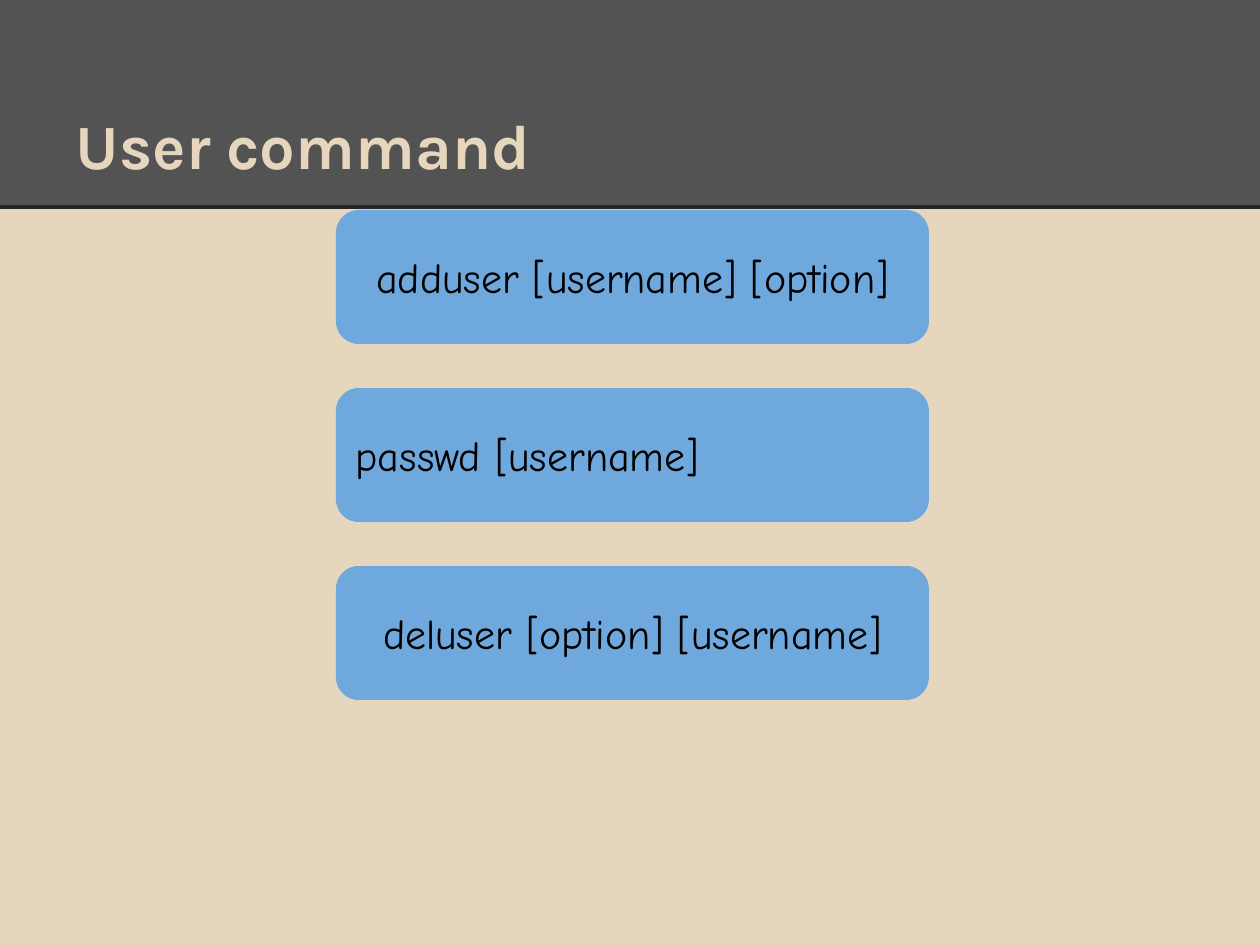
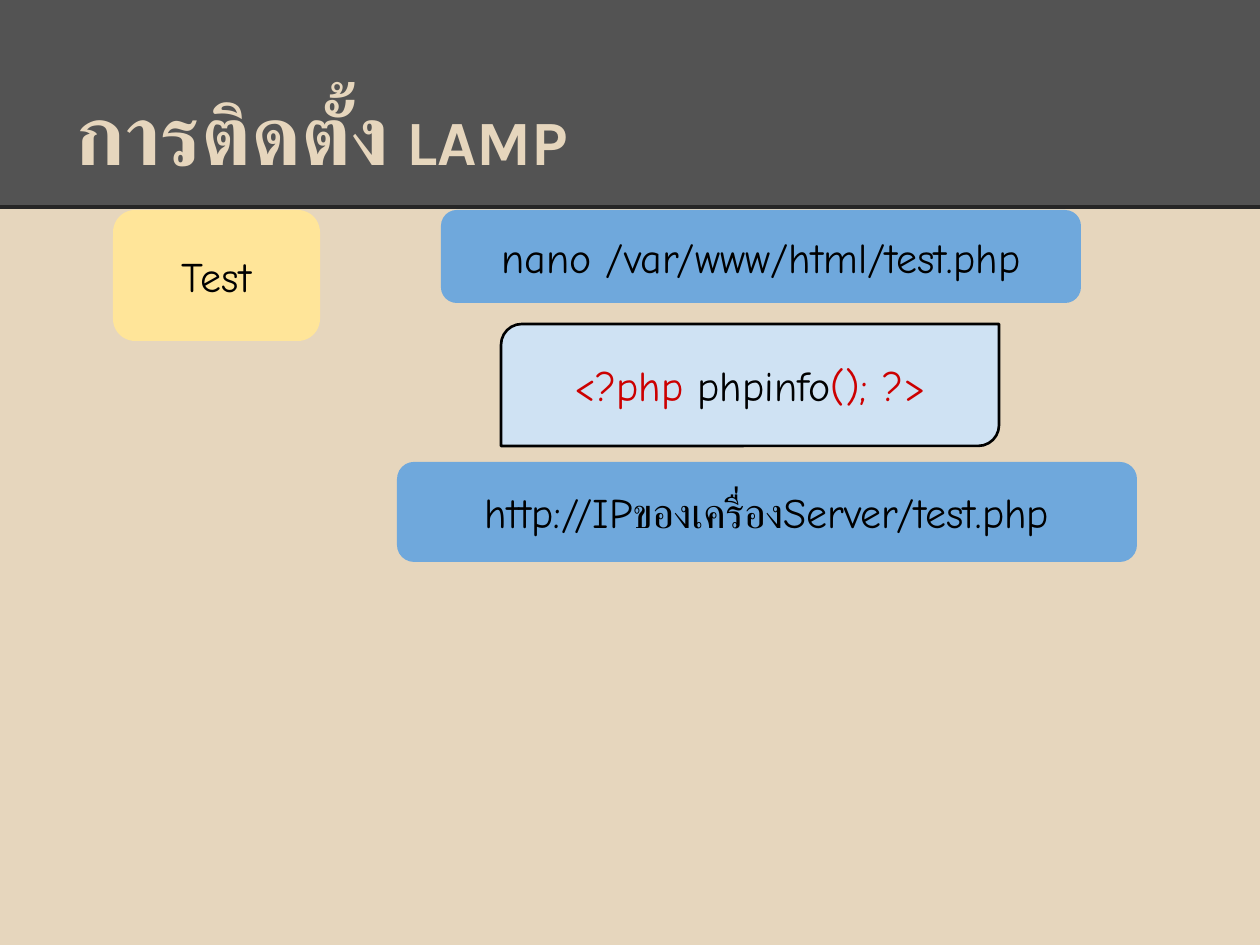
import pptx
import pptx.util
import pptx.dml.color
import pptx.enum.shapes
import pptx.enum.text
import lxml.etree
import pptx.oxml.ns

EMU_PER_PX = 914400 / 126
PAGE_WIDTH, PAGE_HEIGHT = 1260, 945
BAND_HEIGHT = 207
FIRST_ROW_TOP = 210
INSET = 13
TITLE_FONT, THAI_FONT, BODY_FONT = "Karla", "Roboto", "Comic Neue"
COLOURS = {
    "sand": "E6D6BD",
    "band": "535353",
    "rule": "262626",
    "blue": "6FA8DC",
    "pale blue": "CFE2F3",
    "yellow": "FFE599",
    "red": "CC0000",
    "black": "000000",
}
SHAPES = pptx.enum.shapes.MSO_SHAPE
ALIGN = pptx.enum.text.PP_ALIGN
ANCHOR = pptx.enum.text.MSO_ANCHOR


def px(length):
    return pptx.util.Emu(round(length * EMU_PER_PX))


def colour(name):
    return pptx.dml.color.RGBColor.from_string(COLOURS[name])


def paint(fill, name):
    fill.solid()
    fill.fore_color.rgb = colour(name)


def set_frame(frame, anchor):
    frame.word_wrap = True
    frame.vertical_anchor = anchor
    frame.margin_left = frame.margin_right = px(INSET)
    frame.margin_top = frame.margin_bottom = px(INSET)


def add_span(para, text, font, size, ink, bold=False):
    span = para.add_run()
    span.text = text
    span.font.name = font
    span.font.size = pptx.util.Pt(size)
    span.font.bold = bold
    span.font.color.rgb = colour(ink)


def add_shape(page, kind, place, fill, outline=None):
    shape = page.shapes.add_shape(kind, *map(px, place))
    shape.shadow.inherit = False
    paint(shape.fill, fill)
    if outline:
        shape.line.color.rgb = colour(outline)
        shape.line.width = pptx.util.Pt(1.5)
    else:
        shape.line.fill.background()
    return shape


def add_box(page, place, spans, fill="blue", align=ALIGN.CENTER,
            kind=SHAPES.ROUNDED_RECTANGLE, outline=None):
    """Rounded box holding one line of (text, colour) spans."""
    box = add_shape(page, kind, place, fill, outline)
    box.adjustments[0] = 0.17
    set_frame(box.text_frame, ANCHOR.MIDDLE)
    para = box.text_frame.paragraphs[0]
    para.alignment = align
    for text, ink in spans:
        add_span(para, text, BODY_FONT, 24, ink)


def add_page(deck, title_spans):
    """Page with the shared background, band, rule and title."""
    page = deck.slides.add_slide(deck.slide_layouts[6])
    paint(page.background.fill, "sand")
    add_shape(page, SHAPES.RECTANGLE, (0, 0, PAGE_WIDTH, BAND_HEIGHT), "band")

    rule = page.shapes.add_connector(
        pptx.enum.shapes.MSO_CONNECTOR.STRAIGHT,
        px(0), px(BAND_HEIGHT), px(PAGE_WIDTH), px(BAND_HEIGHT))
    rule.line.color.rgb = colour("rule")
    rule.line.width = pptx.util.Pt(2.25)
    lxml.etree.SubElement(rule._element.spPr, pptx.oxml.ns.qn("a:effectLst"))

    title = page.shapes.add_textbox(*map(px, (63, 38, 1134, 157)))
    set_frame(title.text_frame, ANCHOR.BOTTOM)
    for text, font, size in title_spans:
        add_span(title.text_frame.paragraphs[0], text, font, size, "sand", bold=True)
    return page


def build_user_commands(deck):
    page = add_page(deck, [("User command", TITLE_FONT, 36)])
    height, gap = 134, 44
    commands = [
        ("adduser [username] [option]", ALIGN.CENTER),
        ("passwd [username]", ALIGN.LEFT),
        ("deluser [option] [username]", ALIGN.CENTER),
    ]
    for row, (command, align) in enumerate(commands):
        top = FIRST_ROW_TOP + row * (height + gap)
        add_box(page, (336, top, 593, height), [(command, "black")], align=align)


def build_lamp_test(deck):
    page = add_page(deck, [("การติดตั้ง", THAI_FONT, 48), (" LAMP", TITLE_FONT, 36)])
    # Step label
    add_box(page, (113, FIRST_ROW_TOP, 207, 131), [("Test", "black")], fill="yellow")
    # Edit the file, its content, and the address to open
    add_box(page, (441, FIRST_ROW_TOP, 640, 93),
            [("nano /var/www/html/test.php", "black")])
    add_box(page, (501, 324, 498, 122),
            [("<?php", "red"), (" phpinfo", "black"), ("(); ?>", "red")],
            fill="pale blue", kind=SHAPES.ROUND_2_DIAG_RECTANGLE, outline="black")
    add_box(page, (397, 462, 740, 100),
            [("http://IPของเครื่องServer/test.php", "black")])


def main():
    deck = pptx.Presentation()
    deck.slide_width, deck.slide_height = px(PAGE_WIDTH), px(PAGE_HEIGHT)
    build_user_commands(deck)
    build_lamp_test(deck)
    deck.save("out.pptx")


if __name__ == "__main__":
    main()
